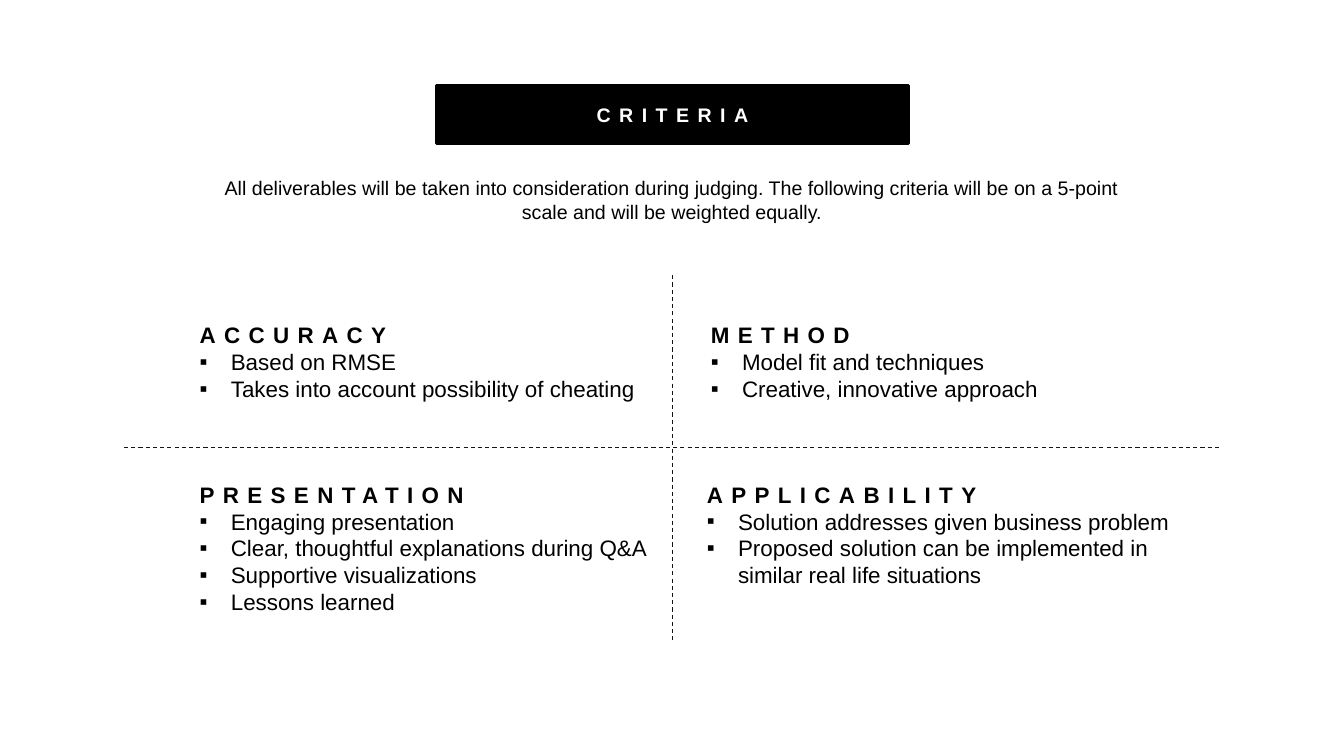
"""Build the judging criteria slide."""
from lxml import etree
from pptx import Presentation
from pptx import util as u
from pptx.dml.color import RGBColor
from pptx.enum import dml, shapes, text
from pptx.oxml.ns import qn

TITLE = "CRITERIA"
INTRO = ("All deliverables will be taken into consideration during judging. "
         "The following criteria will be on a 5-point scale and will be weighted equally.")
CRITERIA = [
    ("ACCURACY", ["Based on RMSE", "Takes into account possibility of cheating"],
     (1.88, 3.14, 4.78, 0.91)),
    ("METHOD", ["Model fit and techniques", "Creative, innovative approach"],
     (6.95, 3.14, 4.92, 0.91)),
    ("PRESENTATION", ["Engaging presentation", "Clear, thoughtful explanations during Q&A",
                      "Supportive visualizations", "Lessons learned"],
     (1.88, 4.72, 4.64, 1.45)),
    ("APPLICABILITY", ["Solution addresses given business problem",
                       "Proposed solution can be implemented in similar real life situations"],
     (6.91, 4.72, 4.95, 1.18)),
]
DIVIDERS = [(6.67, 2.73, 6.67, 6.35), (1.23, 4.44, 12.1, 4.44)]
COLORS = {"ink": "000000", "paper": "FFFFFF", "divider": "11151A"}
FONT = "Arial"
INDENT = u.Inches(0.31)


def color(name):
    return RGBColor.from_string(COLORS[name])


def place(box, area, anchor=text.MSO_ANCHOR.TOP):
    box.left, box.top, box.width, box.height = map(u.Inches, area)
    frame = box.text_frame
    frame.word_wrap = True
    frame.auto_size = text.MSO_AUTO_SIZE.NONE
    frame.vertical_anchor = anchor


def style(para, size, ink="ink", bold=False, spacing=0, align=text.PP_ALIGN.LEFT):
    para.alignment = align
    para.line_spacing = 1.0
    para.space_before = para.space_after = u.Pt(0)
    for span in para.runs:
        span.font.name = FONT
        span.font.size = u.Pt(size)
        span.font.bold = bold
        span.font.color.rgb = color(ink)
        span.font._element.set("spc", str(spacing * 100))


def set_bullet(para, bulleted):
    props = para._p.get_or_add_pPr()
    props.set("marL", str(INDENT if bulleted else 0))
    props.set("indent", str(-INDENT if bulleted else 0))
    if bulleted:
        tint = etree.SubElement(props, qn("a:buClr"))
        etree.SubElement(tint, qn("a:srgbClr"), val=COLORS["ink"])
        etree.SubElement(props, qn("a:buFont"), typeface=FONT)
        etree.SubElement(props, qn("a:buChar"), char="▪")
    else:
        etree.SubElement(props, qn("a:buNone"))


def add_divider(page, ends):
    line = page.shapes.add_connector(shapes.MSO_CONNECTOR.STRAIGHT, *map(u.Inches, ends))
    line.line.color.rgb = color("divider")
    line.line.width = u.Pt(0.75)
    line.line.dash_style = dml.MSO_LINE.DASH
    etree.SubElement(line._element.spPr, qn("a:effectLst"))


def fill_criterion(box, heading, points, area):
    place(box, area)
    box.text_frame.text = "\n".join([heading, *points])
    for number, para in enumerate(box.text_frame.paragraphs):
        is_heading = number == 0
        style(para, 16, bold=is_heading, spacing=6 if is_heading else 0)
        set_bullet(para, not is_heading)


def main():
    deck = Presentation()
    deck.slide_width, deck.slide_height = u.Inches(13.33), u.Inches(7.5)
    page = deck.slides.add_slide(deck.slide_layouts.get_by_name("Comparison"))

    title, *bodies = page.placeholders
    place(title, (4.33, 0.85, 4.68, 0.57), text.MSO_ANCHOR.MIDDLE)
    title.fill.solid()
    title.fill.fore_color.rgb = color("ink")
    title.line.color.rgb = color("ink")
    title.line.width = u.Pt(2)
    title.text_frame.text = TITLE
    style(title.text_frame.paragraphs[0], 14, "paper", True, 6, text.PP_ALIGN.CENTER)

    intro = page.shapes.add_textbox(0, 0, 0, 0)
    place(intro, (1.98, 1.7, 9.37, 0.71))
    intro.text_frame.text = INTRO
    style(intro.text_frame.paragraphs[0], 14, align=text.PP_ALIGN.CENTER)

    for ends in DIVIDERS:
        add_divider(page, ends)
    for body, criterion in zip(bodies, CRITERIA):
        fill_criterion(body, *criterion)

    deck.save("out.pptx")


if __name__ == "__main__":
    main()
